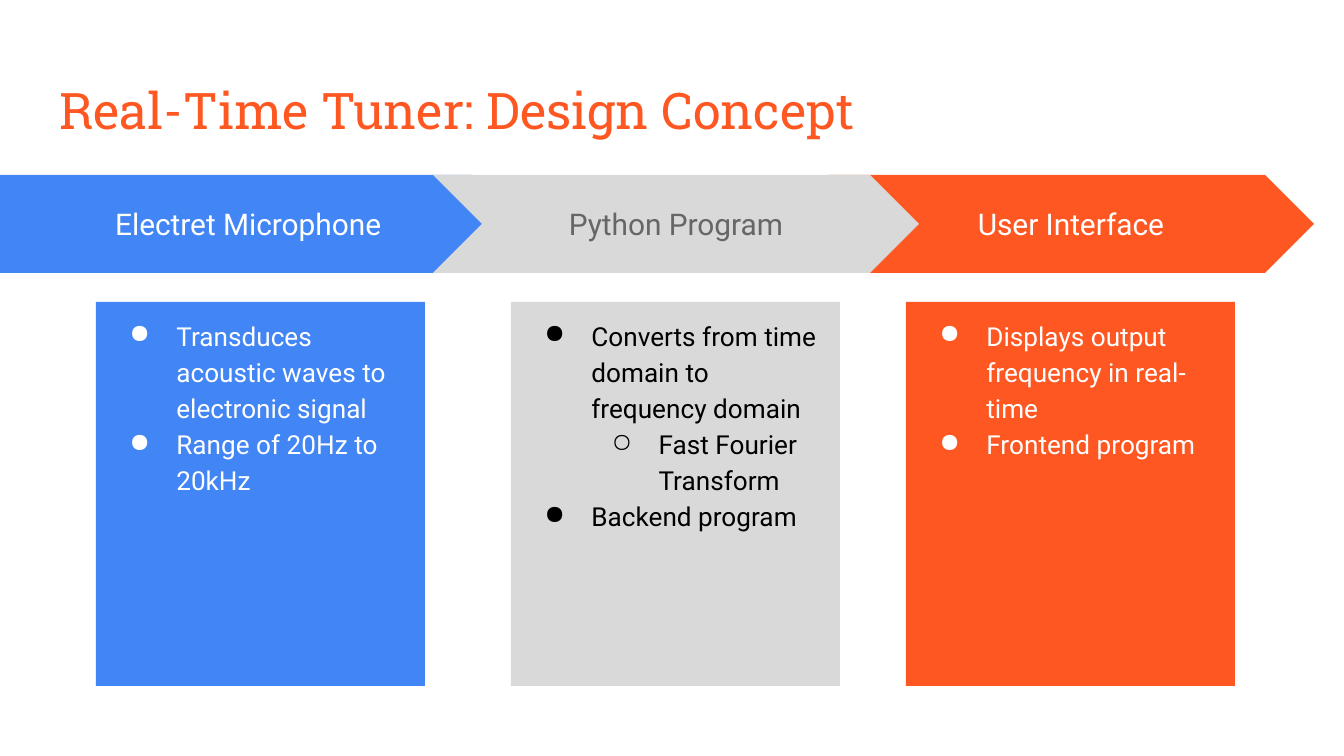
from lxml import etree
from pptx import Presentation
from pptx import util as u
from pptx.dml.color import RGBColor
from pptx.enum import shapes, text
from pptx.oxml.ns import qn

PX = 914400 / 134.4
COLORS = {
    "orange": "FF5722",
    "blue": "4285F4",
    "light": "D9D9D9",
    "gray": "666666",
    "white": "FFFFFF",
    "black": "000000",
}
BULLETS = ["●", "○"]
FRAME = {"word_wrap": True, "margin_left": u.Inches(0.1), "margin_right": u.Inches(0.1),
         "margin_top": u.Inches(0.1), "margin_bottom": u.Inches(0.1)}


def write(paragraph, words, font, size, color):
    run = paragraph.add_run()
    run.text = words
    for name, value in {"name": font, "size": u.Pt(size)}.items():
        setattr(run.font, name, value)
    run.font.color.rgb = RGBColor.from_string(COLORS[color])


def set_bullet(paragraph, level, color):
    """Give the paragraph a hanging bullet for its level."""
    paragraph.level = level
    paragraph.line_spacing = 1.15
    properties = paragraph._p.get_or_add_pPr()
    properties.set("marL", str(u.Inches(0.5 * (level + 1))))
    properties.set("indent", str(u.Inches(-0.35)))
    bullet_color = etree.SubElement(properties, qn("a:buClr"))
    etree.SubElement(bullet_color, qn("a:srgbClr"), val=COLORS[color])
    etree.SubElement(properties, qn("a:buChar"), char=BULLETS[level])


presentation = Presentation()
presentation.slide_width = round(1344 * PX)
presentation.slide_height = round(756 * PX)
slide = presentation.slides.add_slide(presentation.slide_layouts[6])

title = slide.shapes.add_textbox(*(round(n * PX) for n in (46, 66, 1252, 85)))
for name, value in FRAME.items():
    setattr(title.text_frame, name, value)
write(title.text_frame.paragraphs[0], "Real-Time Tuner: Design Concept",
      "Roboto Slab", 27, "orange")

# Heading, arrow kind, arrow left and width, panel left, fill, heading and body colours, items;
# later stages lie in front of earlier ones
chevron = shapes.MSO_SHAPE.CHEVRON
pentagon = shapes.MSO_SHAPE.PENTAGON
stages = [
    ("User Interface", chevron, 828, 486, 906, "orange", "white", "white",
     [(0, "Displays output frequency in real-time"), (0, "Frontend program")]),
    ("Electret Microphone", pentagon, 0, 521, 96, "blue", "white", "white",
     [(0, "Transduces acoustic waves to electronic signal"), (0, "Range of 20Hz to 20kHz")]),
    ("Python Program", chevron, 433, 486, 511, "light", "gray", "black",
     [(0, "Converts from time domain to frequency domain"),
      (1, "Fast Fourier Transform"), (0, "Backend program")]),
]
for heading, kind, left, width, panel_left, fill, heading_color, body_color, items in stages:
    group = slide.shapes.add_group_shape()
    arrow = group.shapes.add_shape(kind, *(round(n * PX) for n in (left, 175, width, 98)))
    panel = group.shapes.add_shape(shapes.MSO_SHAPE.RECTANGLE,
                                   *(round(n * PX) for n in (panel_left, 302, 329, 384)))
    for shape, anchor in ((arrow, text.MSO_ANCHOR.MIDDLE), (panel, text.MSO_ANCHOR.TOP)):
        shape.shadow.inherit = False
        shape.fill.solid()
        shape.fill.fore_color.rgb = RGBColor.from_string(COLORS[fill])
        shape.line.fill.background()
        for name, value in {**FRAME, "vertical_anchor": anchor}.items():
            setattr(shape.text_frame, name, value)
    arrow.adjustments[0] = 0.5

    paragraph = arrow.text_frame.paragraphs[0]
    paragraph.alignment = text.PP_ALIGN.CENTER
    write(paragraph, heading, "Roboto", 16, heading_color)

    frame = panel.text_frame
    for index, (level, words) in enumerate(items):
        paragraph = frame.add_paragraph() if index else frame.paragraphs[0]
        paragraph.alignment = text.PP_ALIGN.LEFT
        set_bullet(paragraph, level, body_color)
        write(paragraph, words, "Roboto", 14, body_color)

presentation.save("out.pptx")
